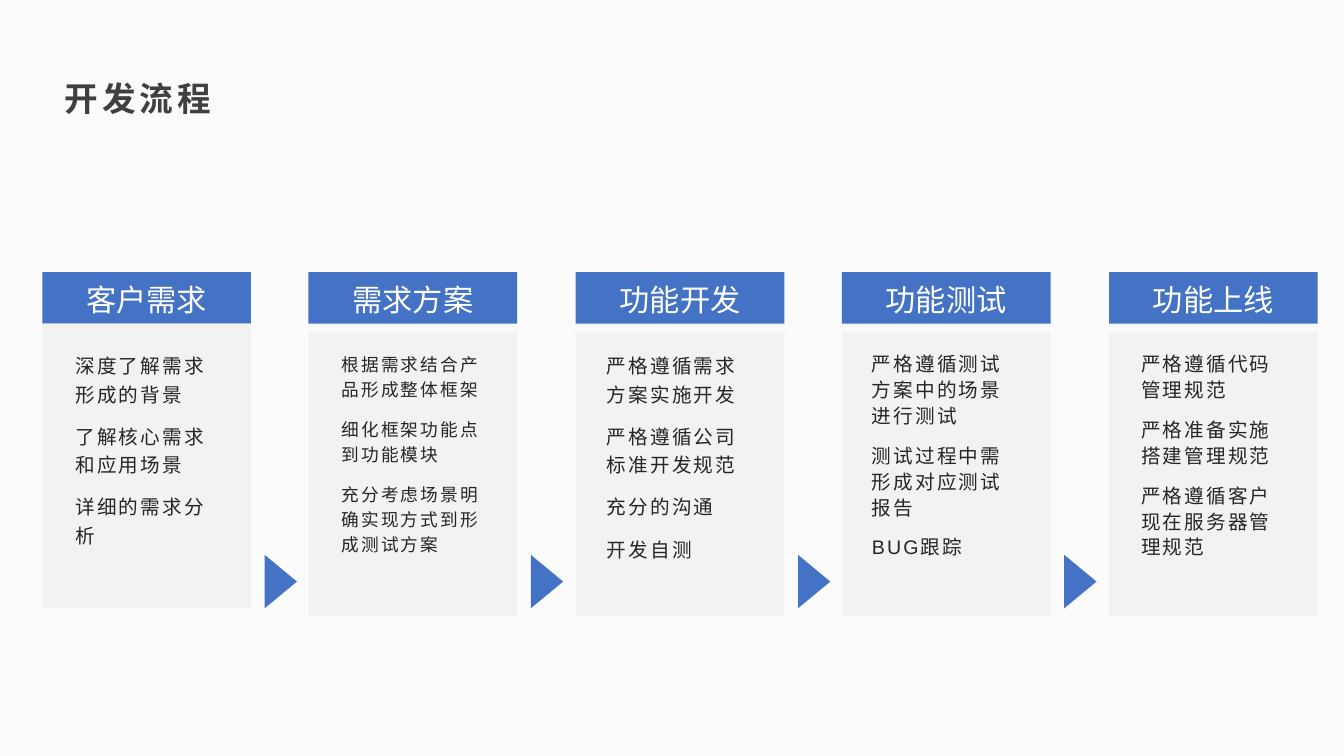
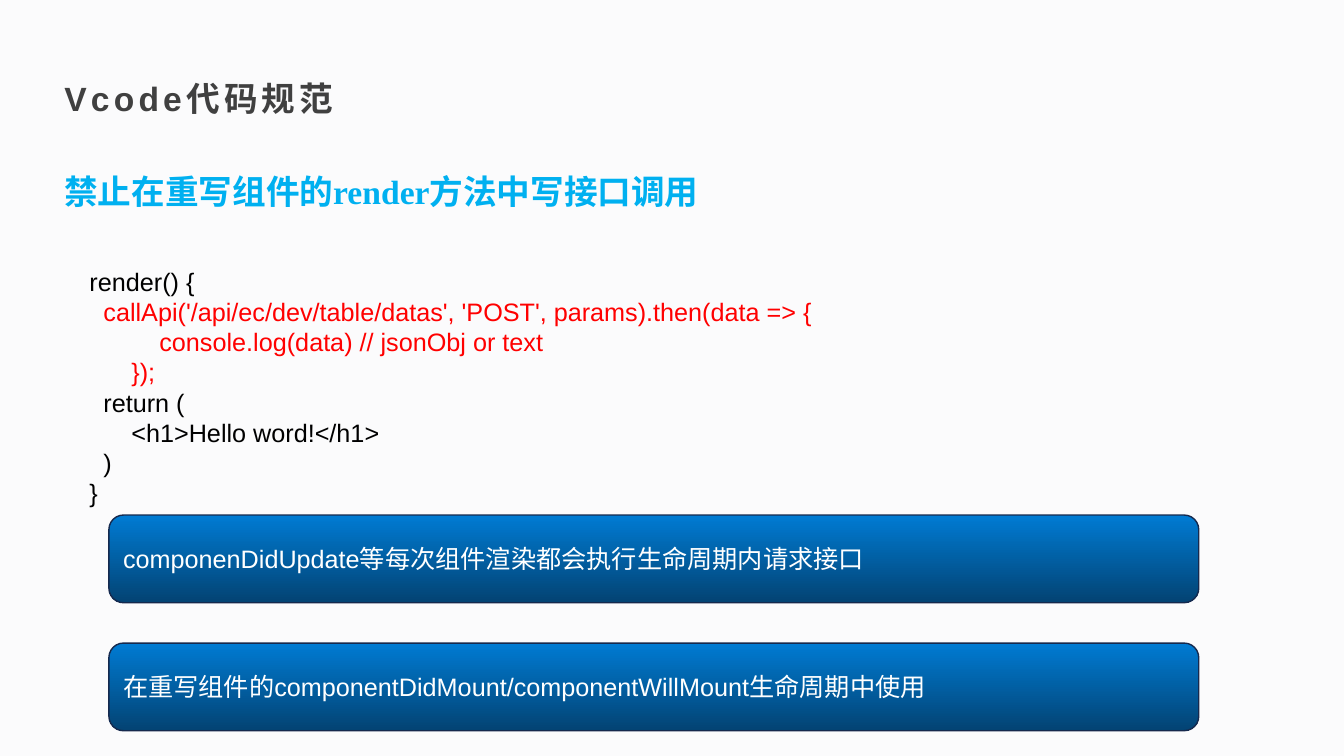
from pptx import Presentation
from pptx import util as u
from pptx.dml.color import RGBColor
from pptx.enum import shapes, text

PX = 9144
BACKGROUND = RGBColor(0xFB, 0xFB, 0xFC)
BLUE = RGBColor(0x44, 0x72, 0xC4)
PANEL = RGBColor(0xF2, 0xF2, 0xF2)
WHITE = RGBColor(0xFF, 0xFF, 0xFF)
BLACK = RGBColor(0x00, 0x00, 0x00)
RED = RGBColor(0xFF, 0x00, 0x00)
TITLE_GRAY = RGBColor(0x40, 0x40, 0x40)
BODY_GRAY = RGBColor(0x26, 0x26, 0x26)
SKY = RGBColor(0x00, 0xB0, 0xF0)
GRADIENT = (RGBColor(0x00, 0x7B, 0xD3), RGBColor(0x03, 0x43, 0x73))
OUTLINE = RGBColor(0x16, 0x29, 0x4D)

TITLE_FONT = {"name": "Arial", "size": u.Pt(24), "bold": True}
SUBTITLE_FONT = {"name": "Times New Roman", "size": u.Pt(24), "bold": True}
HEADER_FONT = {"name": "Arial", "size": u.Pt(21.6)}
CODE_FONT = {"name": "Arial", "size": u.Pt(18)}

STAGES = [
    {"name": "客户需求", "panel_top": 321, "inset": 23, "size": 14, "spacing": 1.2,
     "notes": ["深度了解需求形成的背景", "了解核心需求和应用场景", "详细的需求分析"]},
    {"name": "需求方案", "panel_top": 329, "inset": 23, "size": 12.6, "spacing": 1.2,
     "notes": ["根据需求结合产品形成整体框架", "细化框架功能点到功能模块",
               "充分考虑场景明确实现方式到形成测试方案"]},
    {"name": "功能开发", "panel_top": 329, "inset": 21, "size": 14, "spacing": 1.2,
     "notes": ["严格遵循需求方案实施开发", "严格遵循公司标准开发规范", "充分的沟通", "开发自测"]},
    {"name": "功能测试", "panel_top": 329, "inset": 20, "size": 14, "spacing": 1.1,
     "notes": ["严格遵循测试方案中的场景进行测试", "测试过程中需形成对应测试报告", "BUG跟踪"]},
    {"name": "功能上线", "panel_top": 329, "inset": 22, "size": 14, "spacing": 1.1,
     "notes": ["严格遵循代码管理规范", "严格准备实施搭建管理规范", "严格遵循客户现在服务器管理规范"]},
]

CODE = [
    ("  render() {", BLACK),
    ("    callApi('/api/ec/dev/table/datas', 'POST', params).then(data => {", RED),
    ("            console.log(data) // jsonObj or text", RED),
    ("        });", RED),
    ("    return (", BLACK),
    ("        <h1>Hello word!</h1>", BLACK),
    ("    )", BLACK),
    ("  }", BLACK),
]

RULES = [
    "componenDidUpdate等每次组件渲染都会执行生命周期内请求接口",
    "在重写组件的componentDidMount/componentWillMount生命周期中使用",
]


def scale(*lengths):
    return [length * PX for length in lengths]


def set_attributes(target, values):
    for name, value in values.items():
        setattr(target, name, value)


def write(shape, lines, font, layout=None, anchor=text.MSO_ANCHOR.TOP, tracking=0):
    frame = shape.text_frame
    set_attributes(frame, {"word_wrap": True, "vertical_anchor": anchor})
    layout = {"alignment": text.PP_ALIGN.LEFT, **(layout or {})}
    for index, (line, color) in enumerate(lines):
        paragraph = frame.add_paragraph() if index else frame.paragraphs[0]
        set_attributes(paragraph, layout)
        run = paragraph.add_run()
        run.text = line
        set_attributes(run.font, font)
        run.font.color.rgb = color
        if tracking:
            run._r.get_or_add_rPr().set("spc", str(tracking))


def add_text(slide, box, lines, font, **options):
    write(slide.shapes.add_textbox(*scale(*box)), lines, font, **options)


def add_block(slide, kind, box, fill=None):
    shape = slide.shapes.add_shape(kind, *scale(*box))
    shape.shadow.inherit = False
    if fill is not None:
        shape.fill.solid()
        shape.fill.fore_color.rgb = fill
        shape.line.fill.background()
    return shape


def add_titled_slide(presentation, title):
    slide = presentation.slides.add_slide(presentation.slide_layouts[6])
    slide.background.fill.solid()
    slide.background.fill.fore_color.rgb = BACKGROUND
    add_text(slide, (54, 51, 545, 71), [(title, TITLE_GRAY)], TITLE_FONT,
             layout={"line_spacing": 1.2, "space_after": u.Pt(1.5)},
             anchor=text.MSO_ANCHOR.BOTTOM, tracking=300)
    return slide


def add_stage(slide, left, stage):
    header = add_block(slide, shapes.MSO_SHAPE.RECTANGLE, (left, 270, 207, 51), BLUE)
    write(header, [(stage["name"], WHITE)], HEADER_FONT,
          layout={"alignment": text.PP_ALIGN.CENTER, "line_spacing": 1.1},
          anchor=text.MSO_ANCHOR.MIDDLE)
    add_block(slide, shapes.MSO_SHAPE.RECTANGLE, (left, stage["panel_top"], 207, 282), PANEL)
    add_text(slide, (left + stage["inset"], 342, 164, 228),
             [(note, BODY_GRAY) for note in stage["notes"]],
             {"name": "Arial", "size": u.Pt(stage["size"])},
             layout={"line_spacing": stage["spacing"], "space_after": u.Pt(10)},
             tracking=150)


def add_stage_arrow(slide, left):
    arrow = add_block(slide, shapes.MSO_SHAPE.ISOSCELES_TRIANGLE, (left, 561, 53, 32), BLUE)
    arrow.rotation = 90


def add_rule_bar(slide, top, rule):
    bar = add_block(slide, shapes.MSO_SHAPE.ROUNDED_RECTANGLE, (108, top, 1081, 87))
    bar.fill.gradient()
    bar.fill.gradient_angle = 270
    for position, (stop, color) in enumerate(zip(bar.fill.gradient_stops, GRADIENT)):
        stop.position = position
        stop.color.rgb = color
    bar.line.color.rgb = OUTLINE
    bar.line.width = u.Pt(1)
    write(bar, [(rule, WHITE)], CODE_FONT, anchor=text.MSO_ANCHOR.MIDDLE)


def build_process(presentation):
    slide = add_titled_slide(presentation, "开发流程")
    for index, stage in enumerate(STAGES):
        left = 42 + index * 529 // 2
        add_stage(slide, left, stage)
        if index < len(STAGES) - 1:
            add_stage_arrow(slide, left + 210)


def build_code_rules(presentation):
    slide = add_titled_slide(presentation, "Vcode代码规范")
    add_text(slide, (54, 165, 710, 50),
             [("禁止在重写组件的render方法中写接口调用", SKY)], SUBTITLE_FONT)
    add_text(slide, (65, 259, 841, 252), CODE, CODE_FONT)
    for index, rule in enumerate(RULES):
        add_rule_bar(slide, 511 + index * 127, rule)


def main():
    presentation = Presentation()
    presentation.slide_width, presentation.slide_height = scale(1333, 750)
    build_process(presentation)
    build_code_rules(presentation)
    presentation.save("out.pptx")


if __name__ == "__main__":
    main()
